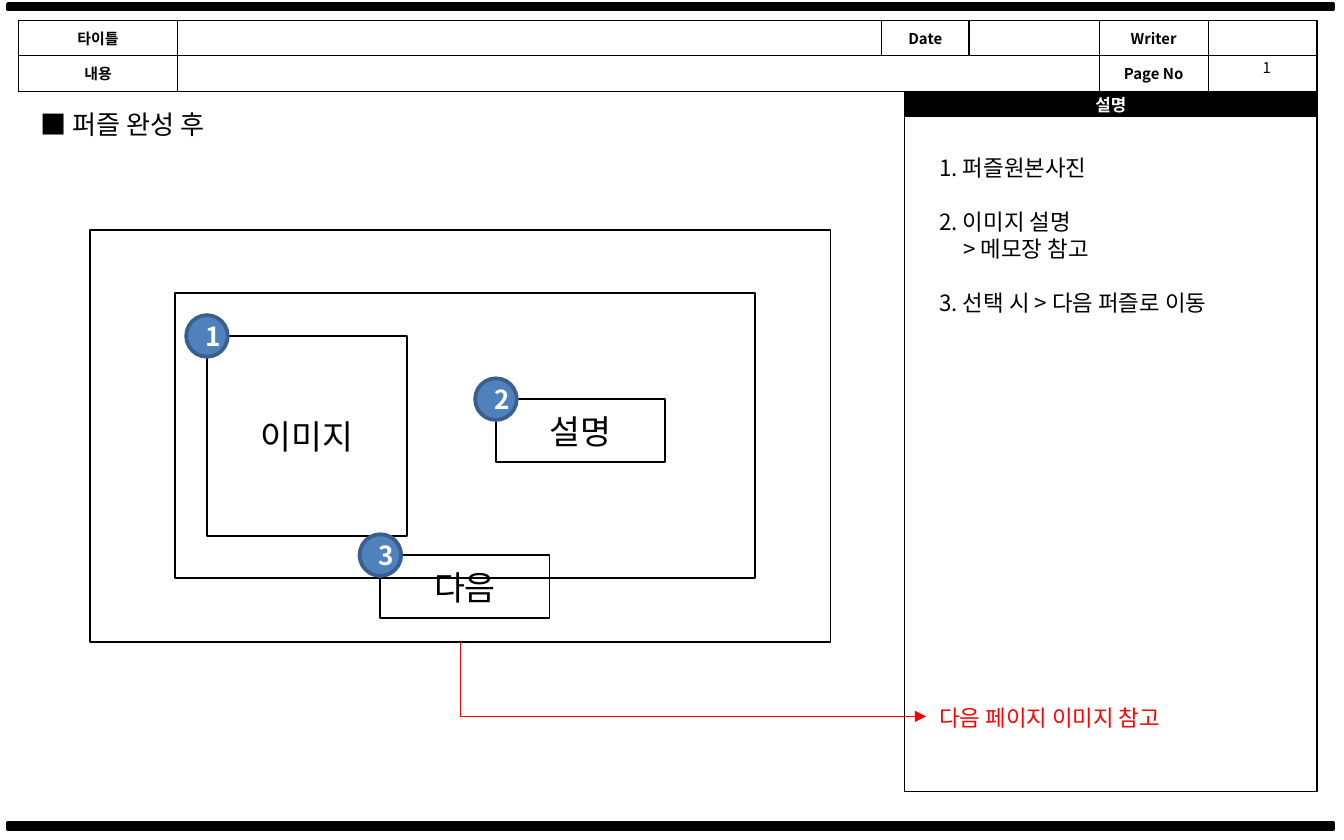
from dataclasses import dataclass

from lxml import etree
from pptx import Presentation
from pptx.dml.color import RGBColor
from pptx.enum.shapes import MSO_CONNECTOR as CONN, MSO_SHAPE as SHAPE
from pptx.enum.text import MSO_ANCHOR as ANCHOR, MSO_AUTO_SIZE as FIT, PP_ALIGN as ALIGN
from pptx.oxml.ns import qn
from pptx.util import Inches, Pt


@dataclass(frozen=True)
class Theme:
    font: str = "Noto Sans CJK KR"
    black: str = "000000"
    white: str = "FFFFFF"
    red: str = "FF0000"
    badge: str = "4F81BD"
    badge_line: str = "3A5F8C"
    small: int = 8
    band: int = 9
    body: int = 12
    heading: int = 14
    label: int = 18
    thin: float = 0.75
    frame: float = 1
    thick: float = 2
    leading: float = 1.2


T = Theme()


def rgb(value):
    return RGBColor.from_string(value)


def box(at):
    return [Inches(v) for v in at]


def write(p, text, size, color=T.black, bold=False, align=ALIGN.CENTER):
    p.alignment = align
    r = p.add_run()
    r.text = text
    for name, value in {"name": T.font, "size": Pt(size), "bold": bold}.items():
        setattr(r.font, name, value)
    r.font.color.rgb = rgb(color)
    etree.SubElement(r.font._element, qn("a:ea"), typeface=T.font)


def add_box(s, at, text="", size=T.label, kind=SHAPE.RECTANGLE, fill=None,
            line=T.black, width=T.frame, color=T.black, bold=False):
    sp = s.shapes.add_shape(kind, *box(at))
    sp.shadow.inherit = False
    if fill:
        sp.fill.solid()
        sp.fill.fore_color.rgb = rgb(fill)
    else:
        sp.fill.background()
    if line:
        sp.line.color.rgb = rgb(line)
        sp.line.width = Pt(width)
    else:
        sp.line.fill.background()
    if text:
        tf = sp.text_frame
        tf.vertical_anchor = ANCHOR.MIDDLE
        write(tf.paragraphs[0], text, size, color, bold)
    return sp


def add_badge(s, target, number, size=0.31):
    """Numbered circle centred on the top left corner of a box."""
    left, top = target[:2]
    add_box(s, (left - size / 2, top - size / 2, size, size), str(number), T.heading,
            SHAPE.OVAL, T.badge, T.badge_line, T.thick, T.white, True)


def fill_text(sp, lines, size, color=T.black, wrap=False):
    """Left aligned lines, each given as (text, blank lines before, indent)."""
    tf = sp.text_frame
    for name, value in {"word_wrap": wrap, "auto_size": FIT.NONE,
                        "vertical_anchor": ANCHOR.TOP}.items():
        setattr(tf, name, value)
    step = size * T.leading
    for i, (text, gap, indent) in enumerate(lines):
        p = tf.add_paragraph() if i else tf.paragraphs[0]
        p.line_spacing = Pt(step)
        p.space_before = Pt(step * gap)
        if indent:
            p._p.get_or_add_pPr().set("marL", str(Inches(indent)))
        write(p, text, size, color, align=ALIGN.LEFT)


def set_title(s, at, text):
    sp = s.shapes.title
    sp.left, sp.top, sp.width, sp.height = box(at)
    fill_text(sp, [(text, 0, 0)], T.heading)


def add_text(s, at, lines, color=T.black, wrap=False):
    fill_text(s.shapes.add_textbox(*box(at)), lines, T.body, color, wrap)


def style_cell(cell, text):
    p = cell.text_frame.paragraphs[0]
    if text:
        write(p, text, T.small, bold=True)
    else:
        etree.SubElement(p._p, qn("a:endParaRPr"), sz=str(T.small * 100))
    cell.fill.solid()
    cell.fill.fore_color.rgb = rgb(T.white)
    tc_pr = cell._tc.get_or_add_tcPr()
    for i, side in enumerate(("lnL", "lnR", "lnT", "lnB")):
        ln = etree.Element(qn(f"a:{side}"), w=str(Pt(T.thin)))
        solid = etree.SubElement(ln, qn("a:solidFill"))
        etree.SubElement(solid, qn("a:srgbClr"), val=T.black)
        tc_pr.insert(i, ln)


def add_header(s, at, widths, rows):
    table = s.shapes.add_table(len(rows), len(widths), *box(at)).table
    table.first_row = table.horz_banding = False
    for column, width in zip(table.columns, widths):
        column.width = Inches(width)
    for row in table.rows:
        row.height = Inches(at[3] / len(rows))
    for r, texts in enumerate(rows):
        for c, text in enumerate(texts):
            style_cell(table.cell(r, c), text)
    table.cell(1, 1).merge(table.cell(1, 3))


def add_down_right_arrow(s, start, end):
    """One-bend connector: down first, then right to the arrowhead."""
    (x1, y1), (x2, y2) = start, end
    dx, dy = x2 - x1, y2 - y1
    # The preset runs across then down, so it is turned about its centre
    left, top = (x1 + x2 - dy) / 2, (y1 + y2 - dx) / 2
    cx = s.shapes.add_connector(CONN.ELBOW, *box((left, top, left + dy, top + dx)))
    cx.line.color.rgb = rgb(T.red)
    cx.line.width = Pt(T.thin)
    sp_pr = cx._element.spPr
    xfrm = sp_pr.find(qn("a:xfrm"))
    xfrm.set("rot", str(270 * 60000))
    xfrm.set("flipH", "1")
    sp_pr.find(qn("a:prstGeom")).set("prst", "bentConnector2")
    etree.SubElement(cx.line._get_or_add_ln(), qn("a:tailEnd"), type="triangle")
    etree.SubElement(sp_pr, qn("a:effectLst"))


def main():
    prs = Presentation()
    prs.slide_width, prs.slide_height = Inches(10), Inches(6.25)
    s = prs.slides.add_slide(prs.slide_layouts[5])

    # Page frame: description panel, header table, page number, bars
    add_box(s, (6.73, 0.69, 3.07, 5.2), fill=T.white, width=T.thin)
    add_box(s, (6.73, 0.69, 3.07, 0.18), "설명", T.band, fill=T.black, line=None,
            color=T.white, bold=True)
    add_header(s, (0.14, 0.15, 9.66, 0.53), (1.18, 5.24, 0.65, 0.97, 0.81, 0.81),
               [("타이틀", "", "Date", "", "Writer", ""),
                ("내용", "", "", "", "Page No", "")])
    add_box(s, (9.09, 0.42, 0.67, 0.16), "1", T.small, line=None)
    for top, height in ((6.12, 0.05), (0.03, 0.04)):
        add_box(s, (0.06, top, 9.86, height), fill=T.black, width=T.thick)

    set_title(s, (0.2, 0.76, 1.57, 0.34), "■ 퍼즐 완성 후")

    # Wireframe of the finished puzzle screen
    screen = (0.67, 1.71, 5.51, 3.07)
    for frame in (screen, (1.3, 2.18, 4.32, 2.12)):
        add_box(s, frame)
    parts = [("이미지", (1.54, 2.5, 1.49, 1.49)),
             ("설명", (3.69, 2.97, 1.26, 0.47)),
             ("다음", (2.83, 4.13, 1.26, 0.47))]
    for text, at in parts:
        add_box(s, at, text)

    # Pointer to the next page
    left, top, width, height = screen
    add_down_right_arrow(s, (left + width / 2, top + height), (6.89, 5.33))
    add_text(s, (6.89, 5.19, 2.12, 0.3), [("다음 페이지 이미지 참고", 0, 0)], T.red)

    # Numbered badges and their notes
    for number, (_, at) in enumerate(parts, 1):
        add_badge(s, at, number)
    add_text(s, (6.89, 1.1, 2.76, 1.31),
             [("1. 퍼즐원본사진", 0, 0),
              ("2. 이미지 설명", 1, 0),
              ("> 메모장 참고", 0, 0.18),
              ("3. 선택 시 > 다음 퍼즐로 이동", 1, 0)], wrap=True)

    prs.save("out.pptx")


if __name__ == "__main__":
    main()
